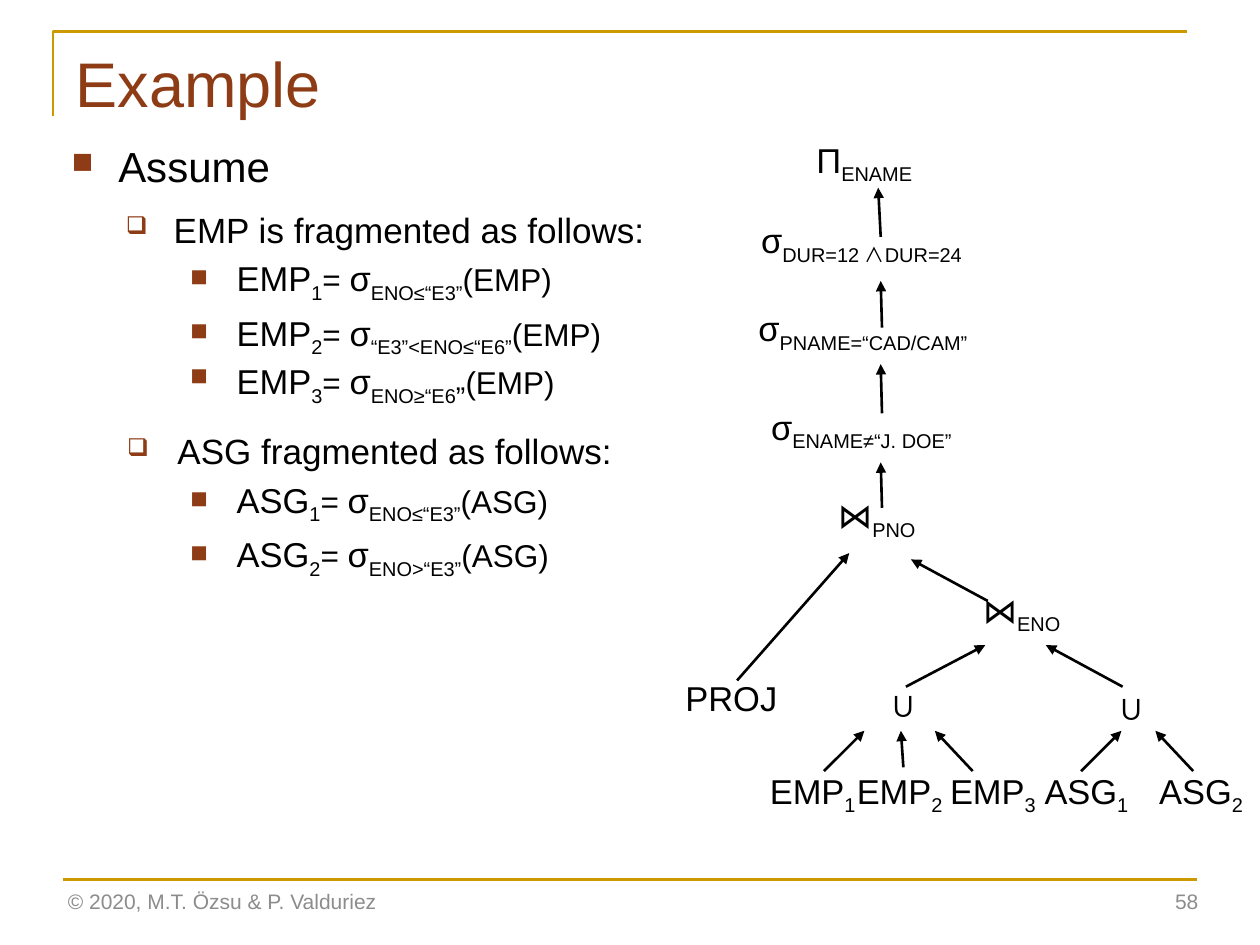
from lxml.etree import SubElement
from pptx import Presentation
from pptx.dml.color import RGBColor
from pptx.enum.shapes import MSO_CONNECTOR as Conn
from pptx.enum.text import MSO_ANCHOR as Anchor, MSO_AUTO_SIZE as Auto, PP_ALIGN as Align
from pptx.oxml.ns import qn
from pptx.util import Pt

PX = 9144  # 100 px to the inch
COLORS = {"ink": "000000", "rust": "8D3C15", "gold": "CC9900", "gray": "8C8C8C"}
FONT = "Arial"
BASE = 19.7


def px(*vals):
    return [val * PX for val in vals]


def color(name):
    return RGBColor.from_string(COLORS[name])


def write(para, runs, size=BASE, ink="ink", align=Align.LEFT, line=None, before=0, after=0):
    """Fill a paragraph; a run is a string or (string, options)."""
    para.alignment = align
    para.space_before, para.space_after = Pt(before), Pt(after)
    if line:
        para.line_spacing = Pt(line)
    for item in runs:
        words, opts = (item, {}) if isinstance(item, str) else item
        run = para.add_run()
        run.text = words
        run.font.name = opts.get("font", FONT)
        run.font.size = Pt(opts.get("size", size))
        run.font.color.rgb = color(ink)
        if opts.get("sub"):
            run._r.get_or_add_rPr().set("baseline", "-25000")


def sub(words, **opts):
    return words, {"sub": True, **opts}


def add_box(slide, box, inset=(0, 0), anchor=Anchor.TOP):
    frame = slide.shapes.add_textbox(*px(*box)).text_frame
    frame.word_wrap = True
    frame.auto_size = Auto.NONE
    frame.vertical_anchor = anchor
    frame.margin_left = frame.margin_right = inset[0] * PX
    frame.margin_top = frame.margin_bottom = inset[1] * PX
    return frame


def add_line(slide, start, end, ink="ink", arrow=False):
    line = slide.shapes.add_connector(Conn.STRAIGHT, *px(*start, *end))
    line.line.color.rgb = color(ink)
    line.line.width = Pt(1.5)
    if arrow:
        SubElement(line.line._get_or_add_ln(), qn("a:tailEnd"), type="triangle")
    SubElement(line._element.spPr, qn("a:effectLst"))


def add_bullet(para, char, left, hang):
    props = para._p.get_or_add_pPr()
    props.set("marL", str(left * PX))
    props.set("indent", str(-hang * PX))
    tint = SubElement(props, qn("a:buClr"))
    SubElement(tint, qn("a:srgbClr"), val=COLORS["rust"])
    SubElement(props, qn("a:buSzPct"), val="70000")
    SubElement(props, qn("a:buChar"), char=char)


def add_rules(slide, box):
    """Draw the corner above the title and the line above the footer."""
    left, top, width, height = box
    pen = slide.shapes.build_freeform(left, top + 67, scale=PX)
    pen.add_line_segments([(left, top), (left + width, top)], close=False)
    corner = pen.convert_to_shape()
    corner.shadow.inherit = False
    corner.fill.background()
    corner.line.color.rgb = color("gold")
    corner.line.width = Pt(1.5)
    base = top + height
    add_line(slide, (left + 8, base), (left + width + 8, base), "gold")


def add_title(slide, box, words):
    title = slide.shapes.title
    title.left, title.top, title.width, title.height = px(*box)
    frame = title.text_frame
    frame.auto_size = Auto.NONE
    frame.vertical_anchor = Anchor.TOP
    write(frame.paragraphs[0], [words], size=36, ink="rust")


def fragment(name, num, test):
    """Give the runs that define one fragment of a relation."""
    tests = test if isinstance(test, list) else [sub(test)]
    return [name, sub(num), ("= ", {"size": 18}), "σ", *tests, (f"({name})", {"size": 18})]


def add_list(slide, box):
    frame = add_box(slide, box, (10, 5))
    styles = {
        "head": ("■", 37, 37, {"size": 24, "before": 4.8}),
        "group": ("❑", 81, 38, {"size": 20, "before": 4.6}),
        "group2": ("❑", 84, 40, {"size": 20, "before": 4.6}),
        "item": ("■", 131, 37, {"line": 22, "before": 4}),
    }
    rows = [
        ("head", ["Assume"]),
        ("group", ["EMP is fragmented as follows:"]),
        ("item", fragment("EMP", "1", "ENO≤“E3”")),
        ("item", fragment("EMP", "2", "“E3”<ENO≤“E6”")),
        ("item", fragment("EMP", "3", [sub("ENO≥“E6"), sub("”", size=28.1)])),
        ("group2", ["ASG fragmented as follows:"]),
        ("item", fragment("ASG", "1", "ENO≤“E3”")),
        ("item", fragment("ASG", "2", "ENO>“E3”")),
    ]
    for row, (kind, runs) in enumerate(rows):
        char, left, hang, form = styles[kind]
        para = frame.add_paragraph() if row else frame.paragraphs[0]
        write(para, runs, after=5, **form)
        add_bullet(para, char, left, hang)


def add_tree(slide, box):
    """Draw the query tree, root on top, arrows from child to parent."""
    left, top = box[:2]
    join = ("⋈", {"font": "Vollkorn"})
    wedge = sub("∧", font="Noto Sans CJK JP")
    nodes = [
        (104, 0, 114, 41, ["Π", sub("ENAME")]),
        (60, 64, 175, 41, ["σ", sub("DUR=12 "), wedge, sub("DUR=24")]),
        (58, 134, 256, 41, ["σ", sub("PNAME=“CAD/CAM”")]),
        (68, 212, 164, 41, ["σ", sub("ENAME≠“J. DOE”")]),
        (121, 292, 69, 31, [join, sub("PNO")]),
        (236, 367, 73, 31, [join, sub("ENO")]),
        (0, 437, 74, 27, ["PROJ"]),
        (163, 437, 28, 31, ["∪"]),
        (344, 440, 28, 31, ["∪"]),
    ]
    leaves = [(67, "EMP", "1"), (136, "EMP", "2"), (210, "EMP", "3"),
              (285, "ASG", "1"), (376, "ASG", "2")]
    nodes += [(x, 515, 70, 27, [name, sub(num)]) for x, name, num in leaves]
    for x, y, width, height, runs in nodes:
        frame = add_box(slide, (left + x, top + y, width, height))
        write(frame.paragraphs[0], runs, line=int(height * 0.72))

    arrows = [
        (155, 81, 153, 42), (156, 153, 155, 116), (156, 221, 155, 182),
        (156, 296, 155, 260), (41, 433, 130, 332), (240, 370, 179, 337),
        (175, 438, 238, 405), (347, 438, 286, 405), (173, 502, 171, 473),
    ]
    arrows += [(tail, 505, tip, 473)
               for tail, tip in [(110, 142), (228, 198), (314, 346), (403, 373)]]
    for x1, y1, x2, y2 in arrows:
        add_line(slide, (left + x1, top + y1), (left + x2, top + y2), arrow=True)


def add_footer(slide, box):
    left, top, width, height = box
    parts = [(left, 338, "© 2020, M.T. Özsu & P. Valduriez", Align.LEFT),
             (left + width - 225, 225, "58", Align.RIGHT)]
    for x, wide, words, align in parts:
        frame = add_box(slide, (x, top, wide, height), (10, 5), Anchor.MIDDLE)
        write(frame.paragraphs[0], [words], size=12, ink="gray", align=align)


def main():
    deck = Presentation()
    deck.slide_width, deck.slide_height = px(1000, 750)
    slide = deck.slides.add_slide(deck.slide_layouts[5])
    add_rules(slide, (42, 25, 900, 673))
    add_title(slide, (50, 30, 900, 125), "Example")
    add_list(slide, (47, 107, 495, 576))
    add_footer(slide, (44, 695, 917, 40))
    add_tree(slide, (544, 107, 446, 542))
    deck.save("out.pptx")


if __name__ == "__main__":
    main()
